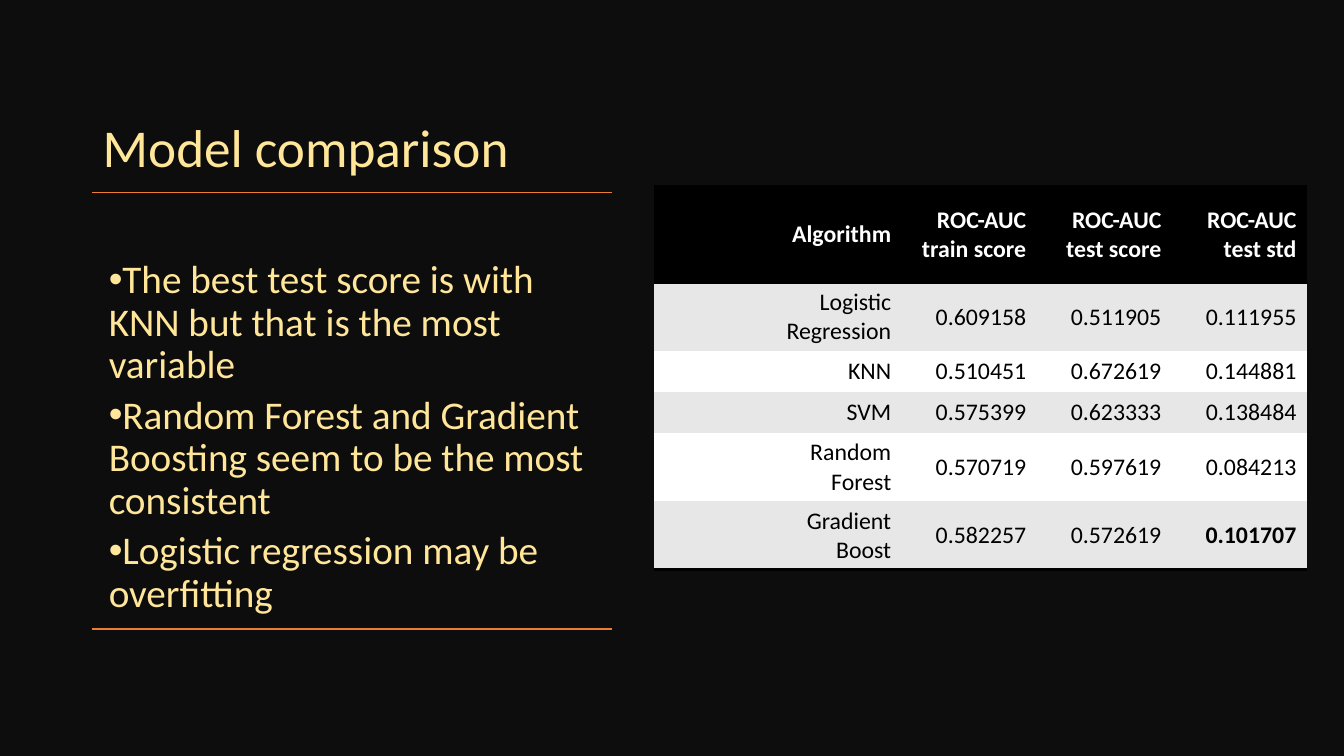
from lxml import etree
from pptx import Presentation
from pptx.dml.color import RGBColor
from pptx.enum.shapes import MSO_CONNECTOR, MSO_SHAPE
from pptx.enum.text import MSO_ANCHOR, PP_ALIGN
from pptx.oxml.ns import qn
from pptx.util import Pt

# Content
TITLE = "Model comparison"
FINDINGS = [
    "The best test score is with KNN but that is the most variable",
    "Random Forest and Gradient Boosting seem to be the most consistent",
    "Logistic regression may be overfitting",
]
SCORES = [
    ("", "Algorithm", "ROC-AUC train score", "ROC-AUC test score", "ROC-AUC test std"),
    ("", "Logistic Regression", "0.609158", "0.511905", "0.111955"),
    ("", "KNN", "0.510451", "0.672619", "0.144881"),
    ("", "SVM", "0.575399", "0.623333", "0.138484"),
    ("", "Random Forest", "0.570719", "0.597619", "0.084213"),
    ("", "Gradient Boost", "0.582257", "0.572619", "0.101707"),
]
HIGHLIGHT = (5, 4)

# Format
FONT = "Calibri"
NEAR_BLACK = RGBColor(0x0D, 0x0D, 0x0D)
CREAM = RGBColor(0xFF, 0xE6, 0x99)
ORANGE = RGBColor(0xED, 0x7D, 0x31)
BLACK = RGBColor(0, 0, 0)
WHITE = RGBColor(0xFF, 0xFF, 0xFF)
GREY = RGBColor(0xE7, 0xE7, 0xE7)
TOP, MIDDLE, BOTTOM = MSO_ANCHOR.TOP, MSO_ANCHOR.MIDDLE, MSO_ANCHOR.BOTTOM
LEFT, RIGHT = PP_ALIGN.LEFT, PP_ALIGN.RIGHT

# Layout, in points
SLIDE_W, SLIDE_H = 960, 540
TITLE_BOX = (66.2, 35.3, 370.8, 96.5)
FINDINGS_BOX = (70.6, 182.2, 361.4, 255.6)
RULE_LEFT, RULE_RIGHT = 65.5, 437
RULE_TOPS = (137.5, 449.3)
TABLE_LEFT, TABLE_TOP = 466.8, 132.8
COLUMN_WIDTHS = (65.4, 111.6, 96.5, 96.5, 96.5)
ROW_HEIGHTS = (69.4, 48.7, 29.3, 29.3, 48.7, 48.7)


def set_format(target, values):
    for name, value in values.items():
        setattr(target, name, value)


def write(paragraph, text, size, color, bold=False):
    run = paragraph.add_run()
    run.text = text
    set_format(run.font, {"name": FONT, "size": Pt(size), "bold": bold})
    run.font.color.rgb = color


def add_borders(cell, sides):
    """Draw 2 pt black borders; they come before the fill in the cell properties."""
    properties = cell._tc.get_or_add_tcPr()
    for position, side in enumerate(sides):
        border = etree.Element(qn(f"a:ln{side}"), w=str(Pt(2)))
        fill = etree.SubElement(border, qn("a:solidFill"))
        etree.SubElement(fill, qn("a:srgbClr"), val=str(BLACK))
        properties.insert(position, border)


prs = Presentation()
prs.slide_width, prs.slide_height = Pt(SLIDE_W), Pt(SLIDE_H)
slide = prs.slides.add_slide(prs.slide_layouts[5])
shapes = slide.shapes

# Dark backdrop, behind the title
backdrop = shapes.add_shape(MSO_SHAPE.RECTANGLE, 0, 0, Pt(SLIDE_W), Pt(SLIDE_H))
backdrop.shadow.inherit = False
backdrop.fill.solid()
backdrop.fill.fore_color.rgb = NEAR_BLACK
backdrop.line.fill.background()
shapes._spTree.insert(2, backdrop._element)

# Title
heading = shapes.title
set_format(heading, dict(zip(("left", "top", "width", "height"), map(Pt, TITLE_BOX))))
set_format(heading.text_frame, {"vertical_anchor": BOTTOM, "word_wrap": True})
title_line = heading.text_frame.paragraphs[0]
set_format(title_line, {"alignment": LEFT, "line_spacing": 0.9})
write(title_line, TITLE, 38, CREAM)

# Findings
findings = shapes.add_textbox(*map(Pt, FINDINGS_BOX)).text_frame
set_format(findings, {"word_wrap": True, "vertical_anchor": TOP})
for number, finding in enumerate(FINDINGS):
    item = findings.add_paragraph() if number else findings.paragraphs[0]
    set_format(item, {"alignment": LEFT, "line_spacing": 0.9, "space_after": Pt(6)})
    properties = item._p.get_or_add_pPr()
    properties.set("marL", "0")
    properties.set("indent", str(-Pt(18)))
    etree.SubElement(properties, qn("a:buFont"), typeface="Arial")
    etree.SubElement(properties, qn("a:buChar"), char="•")
    write(item, finding, 28, CREAM)

# Rules above and below the findings
for top in RULE_TOPS:
    rule = shapes.add_connector(
        MSO_CONNECTOR.STRAIGHT, Pt(RULE_RIGHT), Pt(top), Pt(RULE_LEFT), Pt(top))
    rule.line.color.rgb = ORANGE
    rule.line.width = Pt(1)
    etree.SubElement(rule._element.spPr, qn("a:effectLst"))

# Score table
table = shapes.add_table(
    len(SCORES), len(COLUMN_WIDTHS), Pt(TABLE_LEFT), Pt(TABLE_TOP),
    Pt(sum(COLUMN_WIDTHS)), Pt(sum(ROW_HEIGHTS))).table
set_format(table, {"first_row": False, "horz_banding": False})
# "No Style, No Grid"
table._tbl.tblPr.find(qn("a:tableStyleId")).text = "{2D5ABB26-0587-4C30-8999-92F81FD0307C}"
for column, width in zip(table.columns, COLUMN_WIDTHS):
    column.width = Pt(width)
for row, height in zip(table.rows, ROW_HEIGHTS):
    row.height = Pt(height)

for r, scores in enumerate(SCORES):
    is_header = r == 0
    row_fill = BLACK if is_header else (GREY if r % 2 else WHITE)
    for c, score in enumerate(scores):
        cell = table.cell(r, c)
        cell.vertical_anchor = MIDDLE
        cell.fill.solid()
        cell.fill.fore_color.rgb = row_fill
        if is_header:
            add_borders(cell, "TB")
        elif r == len(SCORES) - 1:
            add_borders(cell, "B")
        if score:
            entry = cell.text_frame.paragraphs[0]
            entry.alignment = RIGHT
            write(entry, score, 17, WHITE if is_header else BLACK,
                  bold=is_header or (r, c) == HIGHLIGHT)

prs.save("out.pptx")
